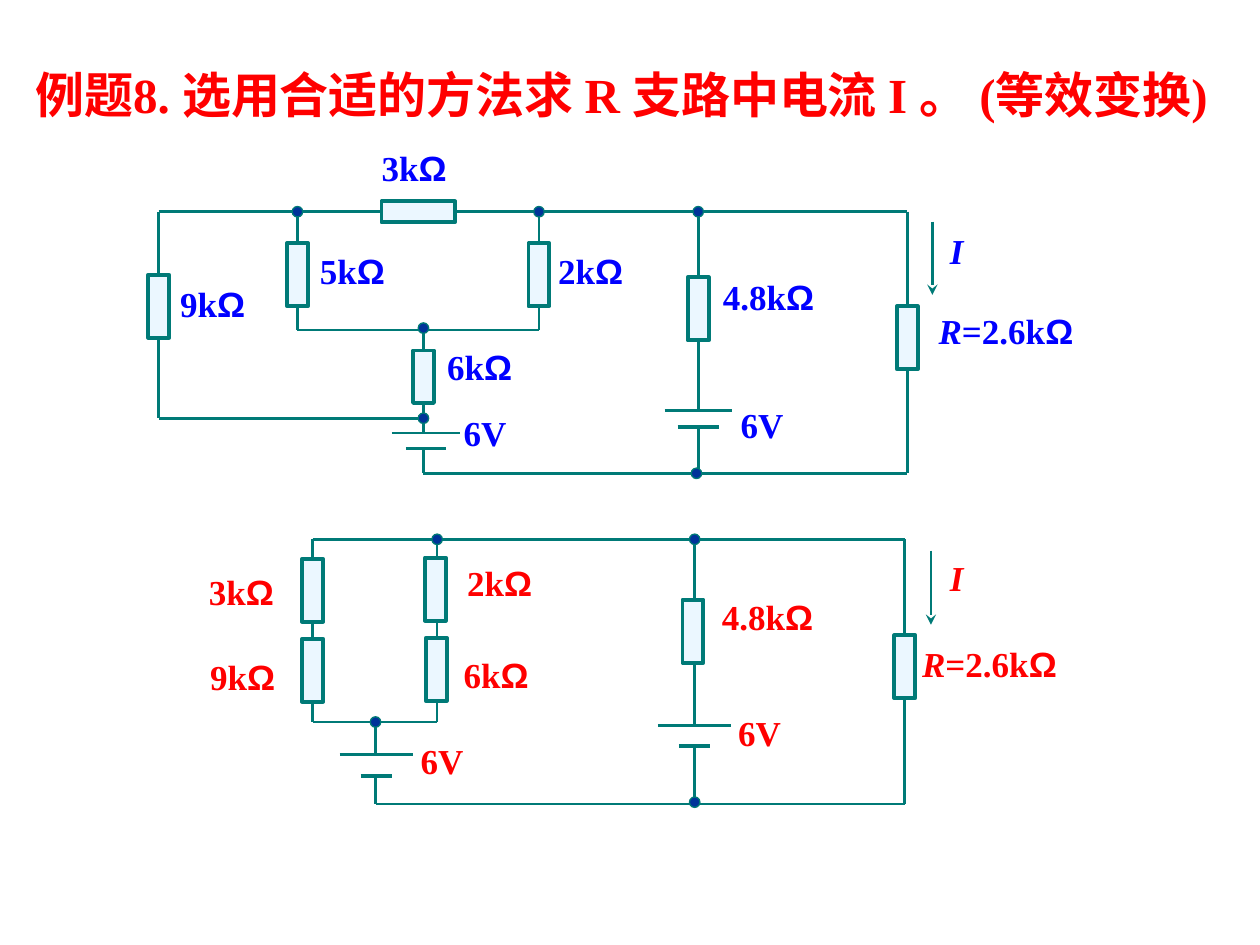
import itertools

import pptx
import pptx.dml.color
import pptx.enum.shapes
import pptx.enum.text
import pptx.oxml
import pptx.oxml.ns
import pptx.util

Pt = pptx.util.Pt
RGBColor = pptx.dml.color.RGBColor
MSO_SHAPE = pptx.enum.shapes.MSO_SHAPE

WIRE = RGBColor(0x00, 0x7A, 0x77)
RESISTOR_FILL = RGBColor(0xEB, 0xF7, 0xFF)
NODE_FILL = RGBColor(0x00, 0x33, 0x99)
BLUE = RGBColor(0x00, 0x00, 0xFF)
RED = RGBColor(0xFF, 0x00, 0x00)
SERIF = "Times New Roman"
OHM_FONT = "Arial"


def add_xml(parent, tag, attributes=""):
    namespace = pptx.oxml.ns.nsdecls("a")
    parent.append(pptx.oxml.parse_xml(f"<a:{tag} {namespace} {attributes}/>"))


def add_line(shapes, origin, start, end, weight=1.5, arrow=False):
    left, top = origin
    line = shapes.add_connector(
        pptx.enum.shapes.MSO_CONNECTOR.STRAIGHT,
        Pt(left + start[0]), Pt(top + start[1]), Pt(left + end[0]), Pt(top + end[1]))
    line.line.color.rgb = WIRE
    line.line.width = Pt(weight)
    if arrow:
        add_xml(line.line._get_or_add_ln(), "tailEnd", 'type="stealth"')
    add_xml(line._element.spPr, "effectLst")


def add_centred_shape(shapes, origin, kind, centre, size, fill, weight):
    left = origin[0] + centre[0] - size[0] / 2
    top = origin[1] + centre[1] - size[1] / 2
    shape = shapes.add_shape(kind, Pt(left), Pt(top), Pt(size[0]), Pt(size[1]))
    shape.shadow.inherit = False
    shape.fill.solid()
    shape.fill.fore_color.rgb = fill
    shape.line.color.rgb = WIRE
    shape.line.width = Pt(weight)


def add_battery(shapes, origin, x, long_y, short_y, long_width, short_width):
    for y, width, weight in ((long_y, long_width, 1.5), (short_y, short_width, 2.25)):
        add_line(shapes, origin, (x - width / 2, y), (x + width / 2, y), weight)


def add_label(shapes, origin, left, top, width, text, color):
    box = shapes.add_textbox(Pt(origin[0] + left), Pt(origin[1] + top), Pt(width), Pt(31.5))
    box.text_frame.word_wrap = True
    paragraph = box.text_frame.paragraphs[0]
    paragraph.font.size = Pt(20)
    paragraph.font.bold = True
    paragraph.font.color.rgb = color
    for (italic, ohm), letters in itertools.groupby(text, lambda c: (c in "RI", c == "Ω")):
        run = paragraph.add_run()
        run.text = "".join(letters)
        run.font.name = OHM_FONT if ohm else SERIF
        run.font.italic = italic


def add_circuit(slide, origin, color, wires, resistors, batteries, nodes, arrow, labels):
    shapes = slide.shapes.add_group_shape().shapes
    for start, end in wires:
        add_line(shapes, origin, start, end)
    for centre, size in resistors:
        add_centred_shape(shapes, origin, MSO_SHAPE.RECTANGLE, centre, size, RESISTOR_FILL, 2.25)
    for battery in batteries:
        add_battery(shapes, origin, *battery)
    for node in nodes:
        add_centred_shape(shapes, origin, MSO_SHAPE.OVAL, node, (6, 6), NODE_FILL, 0.75)
    add_line(shapes, origin, *arrow, arrow=True)
    for label in labels:
        add_label(shapes, origin, *label, color)


def add_given_circuit(slide, left, top):
    outer, five, middle, two, source, load = 6.7, 86, 158, 224, 315, 434.5
    rail, bridge, junction, ground = 41, 108.5, 159, 190.5
    upright = (12, 36)
    add_circuit(
        slide, (left, top), BLUE,
        wires=[
            ((outer, rail), (load, rail)), ((outer, rail), (outer, junction)),
            ((five, rail), (five, bridge)), ((two, rail), (two, bridge)),
            ((five, bridge), (two, bridge)), ((outer, junction), (middle, junction)),
            ((middle, bridge), (middle, 167.5)), ((middle, 176.3), (middle, ground)),
            ((source, rail), (source, 154.7)), ((source, 164), (source, ground)),
            ((load, rail), (load, ground)), ((middle, ground), (load, ground)),
        ],
        resistors=[
            ((outer, 95), upright), ((five, 77), upright), ((two, 77), upright),
            ((source, 96.5), upright), ((load, 113), upright),
            ((middle, 135.3), (12, 30)), ((155, rail), (42, 12)),
        ],
        batteries=[(159.5, 167.5, 176.3, 39, 23), (source, 154.7, 164, 38.5, 23.5)],
        nodes=[(five, rail), (two, rail), (source, rail), (middle, bridge - 1),
               (middle, junction), (source - 1, ground)],
        arrow=((448.8, 46.7), (448.8, 88.5)),
        labels=[
            (127, 0, 67, "3kΩ"), (91.7, 59, 67, "5kΩ"), (227.8, 59, 67, "2kΩ"),
            (11.8, 77.7, 67, "9kΩ"), (164.4, 113.7, 67, "6kΩ"), (322, 74, 80, "4.8kΩ"),
            (173.8, 151.8, 50, "6V"), (332.2, 146.8, 50, "6V"),
            (451.7, 47.4, 32, "I"), (445.2, 93.5, 120, "R=2.6kΩ"),
        ])


def add_equivalent_circuit(slide, left, top):
    first, middle, second, source, load = 66.6, 102.6, 137.8, 285, 405
    rail, junction, ground = 4.2, 108.6, 155.4
    upright = (12, 36)
    add_circuit(
        slide, (left, top), RED,
        wires=[
            ((first, rail), (load, rail)), ((first, rail), (first, junction)),
            ((second, rail), (second, junction)), ((first, junction), (second, junction)),
            ((middle, junction), (middle, 127)), ((middle, 139.5), (middle, ground)),
            ((source, rail), (source, 110.7)), ((source, 122.2), (source, ground)),
            ((load, rail), (load, ground)), ((middle, ground), (load, ground)),
        ],
        resistors=[((x, y), upright) for x, y in (
            (first, 33.3), (first, 79), (second - 1, 32.7), (second - 0.5, 78.5),
            (source - 1, 56.7), (load, 77))],
        batteries=[(middle + 0.5, 127.2, 139.5, 42, 18), (source, 110.7, 122.2, 42, 18)],
        nodes=[(second, rail), (source, rail), (middle, junction), (source, ground - 1)],
        arrow=((420, 10.6), (420, 53)),
        labels=[
            (0.3, 18.6, 67, "3kΩ"), (1, 66.8, 67, "9kΩ"), (147.9, 13.5, 67, "2kΩ"),
            (145.8, 66, 67, "6kΩ"), (293.4, 33, 80, "4.8kΩ"),
            (121.3, 115, 50, "6V"), (302.7, 99.2, 50, "6V"),
            (423.7, 10.6, 32, "I"), (407.8, 59.6, 120, "R=2.6kΩ"),
        ])


def add_title(slide, left, top, width, height):
    title = slide.shapes.title
    title.left, title.top, title.width, title.height = map(Pt, (left, top, width, height))
    frame = title.text_frame
    frame.text = "例题8. 选用合适的方法求 R 支路中电流 I 。 (等效变换)"
    frame.word_wrap = True
    frame.auto_size = pptx.enum.text.MSO_AUTO_SIZE.NONE
    frame.vertical_anchor = pptx.enum.text.MSO_ANCHOR.TOP
    paragraph = frame.paragraphs[0]
    paragraph.alignment = pptx.enum.text.PP_ALIGN.LEFT
    paragraph.space_before = Pt(0)
    paragraph.font.name = SERIF
    paragraph.font.size = Pt(28)
    paragraph.font.bold = True
    paragraph.font.color.rgb = RED


def main():
    presentation = pptx.Presentation()
    presentation.slide_width = Pt(720)
    presentation.slide_height = Pt(540)
    slide = presentation.slides.add_slide(presentation.slide_layouts[5])
    add_given_circuit(slide, 84, 80)
    add_equivalent_circuit(slide, 112, 304)
    add_title(slide, 13, 33, 688.5, 75)
    presentation.save("out.pptx")


if __name__ == "__main__":
    main()
